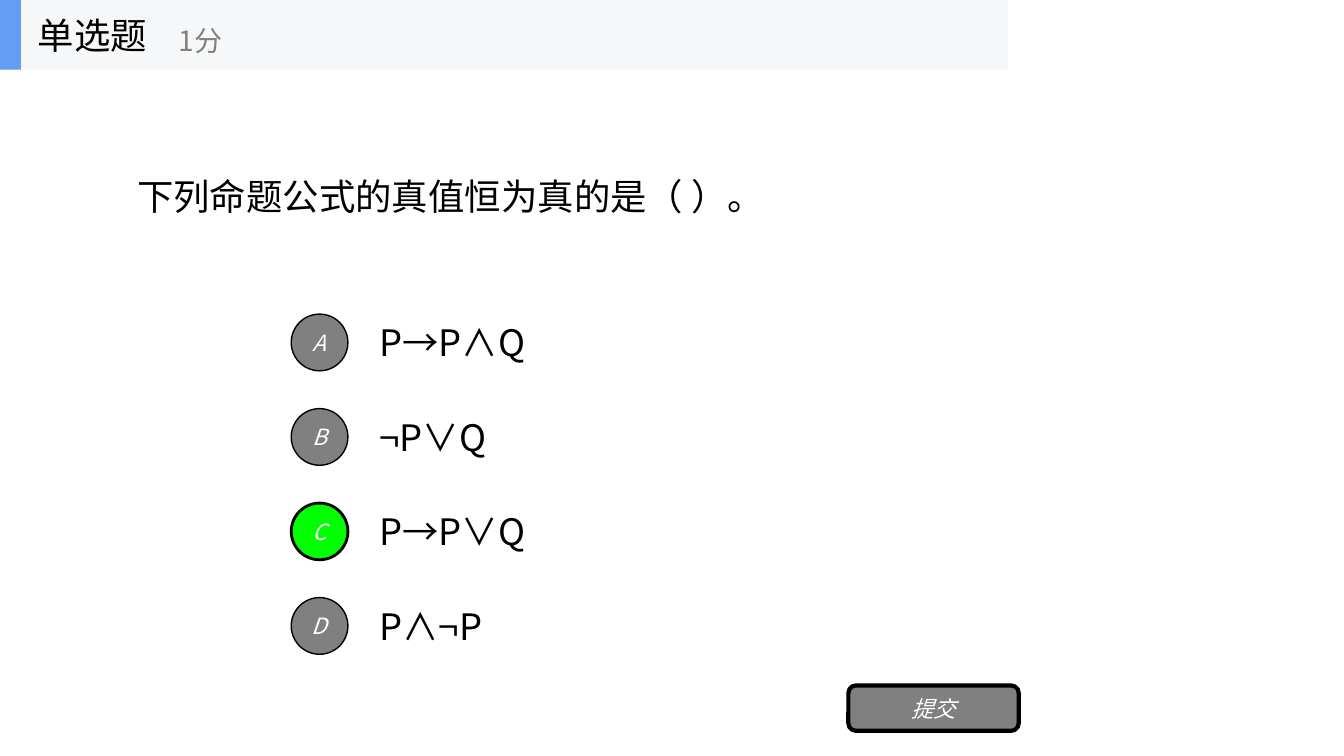
from dataclasses import dataclass

import pptx
import pptx.dml.color
import pptx.enum.shapes
import pptx.enum.text
import pptx.oxml
import pptx.oxml.ns
import pptx.util

Pt = pptx.util.Pt
Shape = pptx.enum.shapes.MSO_SHAPE
Align = pptx.enum.text.PP_ALIGN
FONT = "Noto Sans CJK SC"
GREY, GREEN, BLACK, WHITE = "808080", "00FF00", "000000", "FFFFFF"
FIRST_OPTION_TOP, OPTION_STEP = 219.4, 67.5
OPTION_HEIGHT, CIRCLE_SIZE = 50.4, 40.5
BODY = {"size": Pt(26), "bold": False, "italic": False}
POINTS = {**BODY, "size": Pt(20)}
BUTTON = {"size": Pt(16), "bold": False, "italic": True}


@dataclass
class Frame:
    left: float
    top: float
    width: float
    height: float

    def lengths(self) -> list:
        return [Pt(value) for value in (self.left, self.top, self.width, self.height)]


@dataclass
class Option:
    letter: str
    formula: str
    fill: str = GREY
    line_width: float = 1


OPTIONS = [
    Option("A", "P→P∧Q"),
    Option("B", "¬P∨Q"),
    Option("C", "P→P∨Q", GREEN, 2),
    Option("D", "P∧¬P"),
]


def set_color(color_format, hex_color: str) -> None:
    color_format.rgb = pptx.dml.color.RGBColor.from_string(hex_color)


def write_text(box, text: str, font_format: dict, color: str, align=Align.LEFT) -> None:
    text_frame = box.text_frame
    frame_format = {
        "word_wrap": True,
        "auto_size": pptx.enum.text.MSO_AUTO_SIZE.NONE,
        "vertical_anchor": pptx.enum.text.MSO_ANCHOR.MIDDLE,
    }
    for name, value in frame_format.items():
        setattr(text_frame, name, value)
    para = text_frame.paragraphs[0]
    para.alignment = align
    span = para.add_run()
    span.text = text
    for name, value in {"name": FONT, **font_format}.items():
        setattr(span.font, name, value)
    set_color(span.font.color, color)
    east_asian = pptx.oxml.parse_xml(
        f'<a:ea {pptx.oxml.ns.nsdecls("a")} typeface="{FONT}"/>'
    )
    span.font._element.find(pptx.oxml.ns.qn("a:latin")).addnext(east_asian)


def add_label(page, frame: Frame, text: str, font_format: dict, color: str) -> None:
    write_text(page.shapes.add_textbox(*frame.lengths()), text, font_format, color)


def add_panel(page, kind, frame: Frame, fill: str, line_width: float = 0):
    panel = page.shapes.add_shape(kind, *frame.lengths())
    panel.shadow.inherit = False
    panel.fill.solid()
    set_color(panel.fill.fore_color, fill)
    if line_width:
        panel.line.width = Pt(line_width)
        set_color(panel.line.color, BLACK)
    else:
        panel.line.fill.background()
    return panel


def add_button(page, kind, frame: Frame, text: str, fill: str, line_width: float) -> None:
    button = add_panel(page, kind, frame, fill, line_width)
    for side in ("left", "top", "right", "bottom"):
        setattr(button.text_frame, f"margin_{side}", Pt(0))
    write_text(button, text, BUTTON, WHITE, Align.CENTER)


def add_question(page, frame: Frame, text: str) -> None:
    title = page.shapes.title
    for name, value in zip(("left", "top", "width", "height"), frame.lengths()):
        setattr(title, name, value)
    write_text(title, text, BODY, BLACK)


def add_option(page, index: int, option: Option) -> None:
    top = FIRST_OPTION_TOP + index * OPTION_STEP
    circle_top = top + (OPTION_HEIGHT - CIRCLE_SIZE) / 2
    add_label(page, Frame(264, top, 504, OPTION_HEIGHT), option.formula, BODY, BLACK)
    circle = Frame(208, circle_top, CIRCLE_SIZE, CIRCLE_SIZE)
    add_button(page, Shape.OVAL, circle, option.letter, option.fill, option.line_width)


def add_header(page) -> None:
    height = 49.7
    add_panel(page, Shape.RECTANGLE, Frame(0, 0, 720, height), "F6F7F8")
    add_panel(page, Shape.RECTANGLE, Frame(0, 0, 15, height), "639EF4")
    add_label(page, Frame(20, 0, 150, height), "单选题", BODY, BLACK)
    add_label(page, Frame(120.5, 8.8, 180, 40.3), "1分", POINTS, GREY)


def main() -> None:
    deck = pptx.Presentation()
    deck.slide_width, deck.slide_height = Pt(960), Pt(540)
    page = deck.slides.add_slide(deck.slide_layouts.get_by_name("Title Only"))
    add_question(page, Frame(90.7, 55.4, 576, 168.5), "下列命题公式的真值恒为真的是（ ）。")
    for index, option in enumerate(OPTIONS):
        add_option(page, index, option)
    add_button(page, Shape.ROUNDED_RECTANGLE, Frame(606, 489.6, 121.7, 32.4), "提交", GREY, 3)
    add_header(page)
    deck.save("out.pptx")


if __name__ == "__main__":
    main()
